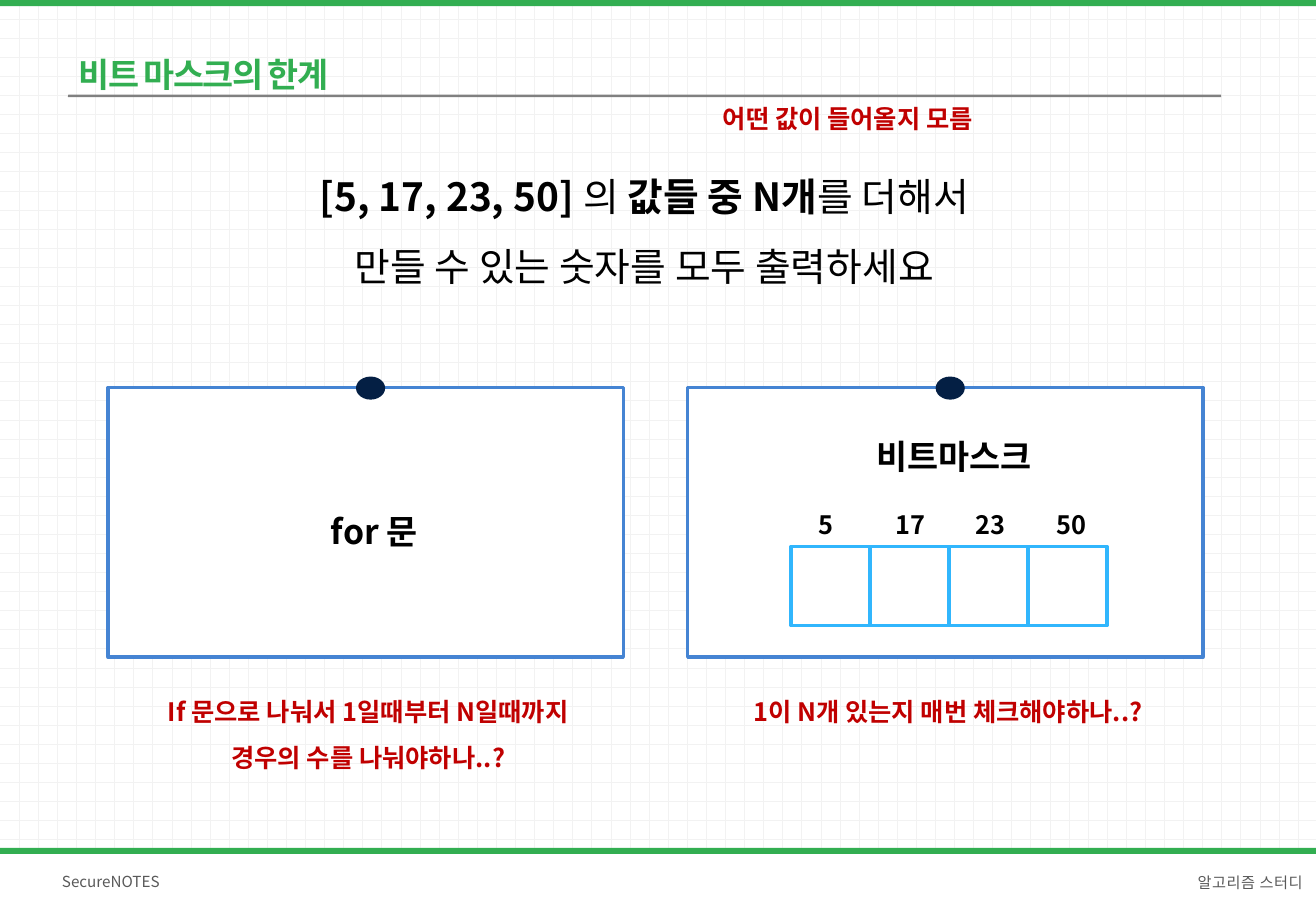
from dataclasses import dataclass

import pptx
import pptx.dml.color
import pptx.enum.dml
import pptx.enum.shapes
import pptx.enum.text
import pptx.oxml
import pptx.oxml.ns
import pptx.util

Inches = pptx.util.Inches
Pt = pptx.util.Pt
RGBColor = pptx.dml.color.RGBColor
Shape = pptx.enum.shapes.MSO_SHAPE
Align = pptx.enum.text.PP_ALIGN
Anchor = pptx.enum.text.MSO_ANCHOR
AutoSize = pptx.enum.text.MSO_AUTO_SIZE

FONT = "Noto Sans CJK KR"
GREEN = RGBColor(0x32, 0xAE, 0x51)
GRAY = RGBColor(0x80, 0x80, 0x80)
DARK_GRAY = RGBColor(0x59, 0x59, 0x59)
PALE_GRAY = RGBColor(0xF2, 0xF2, 0xF2)
WHITE = RGBColor(0xFF, 0xFF, 0xFF)
BLACK = RGBColor(0, 0, 0)
RED = RGBColor(0xC0, 0, 0)
BLUE = RGBColor(0x45, 0x84, 0xD3)
SKY = RGBColor(0x31, 0xB6, 0xFD)
NAVY = RGBColor(0x04, 0x1F, 0x44)


@dataclass
class Box:
    left: float
    top: float
    width: float
    height: float

    def emu(self) -> tuple:
        return tuple(Inches(v) for v in (self.left, self.top, self.width, self.height))


@dataclass
class Panel:
    left: float
    heading: str
    heading_box: Box
    note: list
    note_box: Box


PANELS = [
    Panel(0.89, "for 문", Box(0.72, 3.99, 4.72, 0.61),
          ["If 문으로 나눠서 1일때부터 N일때까지", "경우의 수를 나눠야하나..?"],
          Box(0.67, 5.56, 4.72, 0.86)),
    Panel(5.66, "비트마스크", Box(5.49, 3.37, 4.72, 0.54),
          ["1이 N개 있는지 매번 체크해야하나..?"], Box(5.44, 5.56, 4.72, 0.48)),
]
BITS = [("5", 6.44), ("17", 7.13), ("23", 7.79), ("50", 8.46)]
CELL = 0.65


def add_text(slide, box: Box, paragraphs: list, *, size=15, color=RED, bold=True,
             align=Align.CENTER, spacing=1.5, tracking=0, anchor=Anchor.TOP,
             inset=(0.1, 0.05), wrap=True, grow=True, sp=None):
    if sp is None:
        sp = slide.shapes.add_textbox(*box.emu())
    else:
        sp.left, sp.top, sp.width, sp.height = box.emu()
    tf = sp.text_frame
    tf.word_wrap = wrap
    tf.auto_size = AutoSize.SHAPE_TO_FIT_TEXT if grow else AutoSize.NONE
    tf.vertical_anchor = anchor
    tf.margin_left = tf.margin_right = Inches(inset[0])
    tf.margin_top = tf.margin_bottom = Inches(inset[1])
    for i, runs in enumerate(paragraphs):
        p = tf.paragraphs[0] if i == 0 else tf.add_paragraph()
        p.alignment = align
        p.line_spacing = spacing
        for text, is_bold in [(runs, bold)] if isinstance(runs, str) else runs:
            r = p.add_run()
            r.text = text
            r.font.name = FONT
            r.font.size = Pt(size)
            r.font.bold = is_bold
            r.font.color.rgb = color
            rPr = r._r.get_or_add_rPr()
            if tracking:
                rPr.set("spc", str(round(tracking * 100)))
            ea = pptx.oxml.parse_xml(f'<a:ea {pptx.oxml.ns.nsdecls("a")} typeface="{FONT}"/>')
            rPr.append(ea)
    return sp


def add_block(slide, box: Box, fill: RGBColor, line=None, kind=Shape.RECTANGLE):
    sp = slide.shapes.add_shape(kind, *box.emu())
    sp.shadow.inherit = False
    sp.fill.solid()
    sp.fill.fore_color.rgb = fill
    if line is None:
        sp.line.fill.background()
    else:
        sp.line.color.rgb = line
        sp.line.width = Pt(2)
    return sp


def add_frame(slide) -> None:
    fill = slide.background.fill
    fill.patterned()
    fill.pattern = pptx.enum.dml.MSO_PATTERN.DOTTED_GRID
    fill.fore_color.rgb = PALE_GRAY
    fill.back_color.rgb = WHITE
    add_text(slide, Box(0.53, 0.05, 5.13, 0.68), ["비트 마스크의 한계"], size=20,
             color=GREEN, align=Align.LEFT, spacing=2.0, tracking=-1,
             inset=(0.12, 0.06), sp=slide.shapes.title)
    add_block(slide, Box(0, 0, 10.83, 0.05), GREEN)
    add_block(slide, Box(0.56, 0.78, 9.49, 0.02), GRAY, kind=Shape.ROUNDED_RECTANGLE)
    add_block(slide, Box(0, 6.98, 10.83, 0.52), WHITE)
    add_block(slide, Box(0, 6.98, 10.83, 0.05), GREEN)
    footer = dict(size=9, color=DARK_GRAY, bold=False, anchor=Anchor.MIDDLE,
                  inset=(0.12, 0.06), grow=False)
    add_text(slide, Box(0.39, 7.02, 1.97, 0.47), ["SecureNOTES"],
             align=Align.LEFT, spacing=1.0, **footer)
    add_text(slide, Box(8.38, 7.06, 2.46, 0.37), ["알고리즘 스터디"],
             align=Align.RIGHT, spacing=1.3, tracking=0.3, **footer)


def add_panel(slide, panel: Panel) -> None:
    add_text(slide, panel.note_box, panel.note)
    add_block(slide, Box(panel.left, 3.19, 4.24, 2.22), WHITE, BLUE)
    add_block(slide, Box(panel.left + 2.04, 3.1, 0.24, 0.19), NAVY, kind=Shape.OVAL)
    add_text(slide, panel.heading_box, [panel.heading], size=20, color=BLACK)


def main() -> None:
    prs = pptx.Presentation()
    prs.slide_width, prs.slide_height = Inches(10.83), Inches(7.5)
    slide = prs.slides.add_slide(prs.slide_layouts[5])
    add_frame(slide)
    add_text(slide, Box(0.47, 1.18, 9.67, 1.26),
             [[("[5, 17, 23, 50] ", True), ("의 ", False),
               ("값들 중 N개", True), ("를 더해서", False)],
              "만들 수 있는 숫자를 모두 출력하세요"],
             size=23, color=BLACK, bold=False)
    add_text(slide, Box(5.85, 0.8, 2.53, 0.35), ["어떤 값이 들어올지 모름"],
             align=Align.LEFT, spacing=1.0, wrap=False)
    for panel in PANELS:
        add_panel(slide, panel)
    for i, (value, left) in enumerate(BITS):
        add_block(slide, Box(6.51 + i * CELL, 4.5, CELL, CELL), WHITE, SKY)
        add_text(slide, Box(left, 4.02, 0.72, 0.48), [value], color=BLACK)
    prs.save("out.pptx")


if __name__ == "__main__":
    main()
